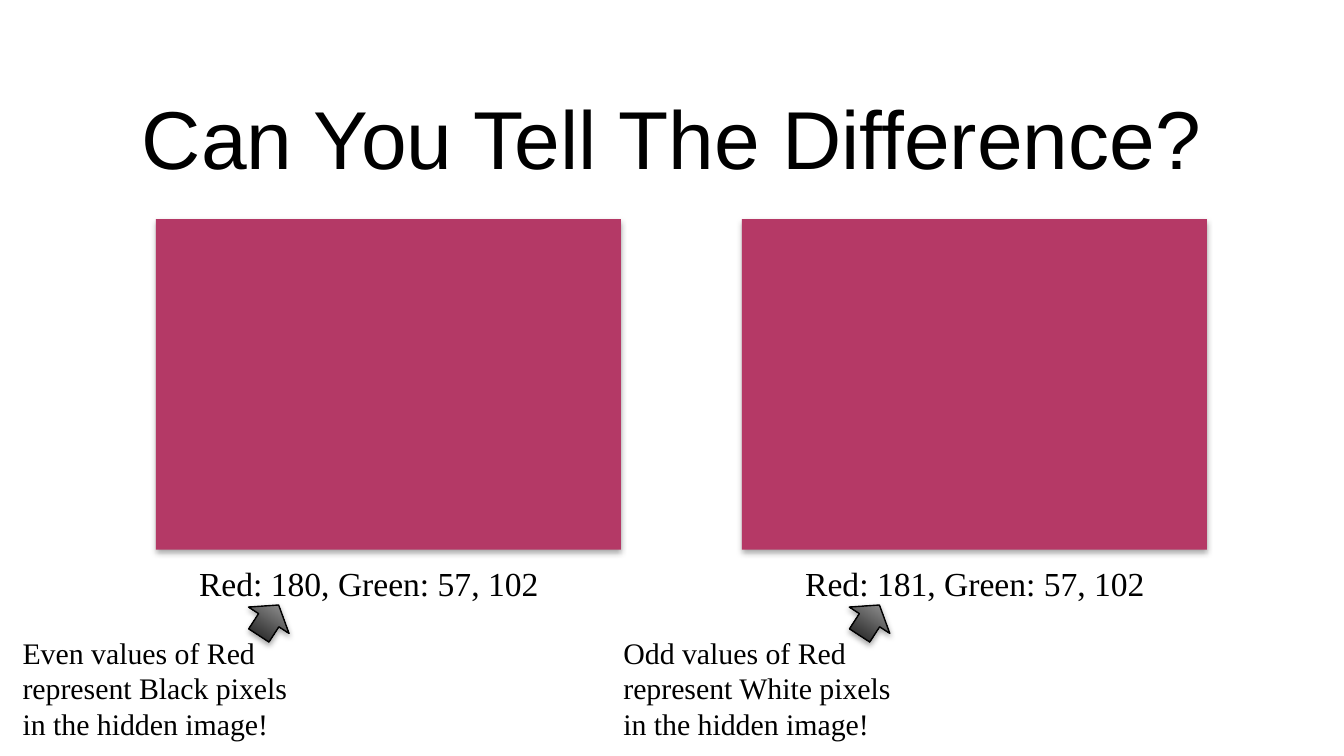
from lxml import etree
from pptx import Presentation
from pptx import util as u
from pptx.dml.color import RGBColor
from pptx.enum import shapes, text
from pptx.oxml import ns

SERIF = "Times New Roman"


def color(value):
    """Turn a hex string into a colour."""
    return RGBColor.from_string(value)


def place(shape, box):
    """Move and size a shape to a box in inches."""
    shape.left, shape.top, shape.width, shape.height = map(u.Inches, box)


def write(shape, words, font=SERIF, size=18, fill="000000",
          align=text.PP_ALIGN.LEFT, anchor=text.MSO_ANCHOR.TOP):
    """Put formatted text in a shape."""
    frame = shape.text_frame
    frame.word_wrap = True
    frame.vertical_anchor = anchor
    paragraph = frame.paragraphs[0]
    paragraph.alignment = align
    run = paragraph.add_run()
    run.text = words
    run.font.name = font
    run.font.size = u.Pt(size)
    run.font.color.rgb = color(fill)


def add_text(slide, box, words, **style):
    """Add a text box that fits its text."""
    shape = slide.shapes.add_textbox(*map(u.Inches, box))
    write(shape, words, **style)
    shape.text_frame.auto_size = text.MSO_AUTO_SIZE.SHAPE_TO_FIT_TEXT


def add_shadowed(slide, kind, box):
    """Add a preset shape with a soft shadow below it."""
    shape = slide.shapes.add_shape(kind, *map(u.Inches, box))
    shape.shadow.inherit = False
    effects = shape._element.spPr.find(ns.qn("a:effectLst"))
    shadow = etree.SubElement(
        effects, ns.qn("a:outerShdw"), blurRad=str(u.Pt(3.1)),
        dist=str(u.Pt(1.8)), dir="5400000", rotWithShape="0")
    black = etree.SubElement(shadow, ns.qn("a:srgbClr"), val="000000")
    etree.SubElement(black, ns.qn("a:alpha"), val="35000")
    return shape


def add_title(slide, box, words):
    """Fill the title placeholder."""
    title = slide.shapes.title
    place(title, box)
    write(title, words, font="Arial", size=44,
          align=text.PP_ALIGN.CENTER, anchor=text.MSO_ANCHOR.MIDDLE)


def add_swatch(slide, box, fill):
    """Add a plain colour panel."""
    swatch = add_shadowed(slide, shapes.MSO_SHAPE.RECTANGLE, box)
    swatch.fill.solid()
    swatch.fill.fore_color.rgb = color(fill)
    swatch.line.fill.background()


def add_note(slide, box, words):
    """Add a note with an arrow pointing up to the caption."""
    left, top, width, height = box
    arrow = add_shadowed(slide, shapes.MSO_SHAPE.UP_ARROW,
                         (left + 1.75, top - 0.19, 0.36, 0.27))
    arrow.rotation = 33
    arrow.fill.gradient()
    arrow.fill.gradient_angle = 90
    for stop, position, shade in zip(arrow.fill.gradient_stops, (0, 1),
                                     ("000000", "BDBDBD")):
        stop.position = position
        stop.color.rgb = color(shade)
    arrow.line.color.rgb = color("000000")
    arrow.line.width = u.Pt(0.75)
    add_text(slide, box, words, size=16)


def build():
    """Build and save the slide."""
    presentation = Presentation()
    presentation.slide_width = u.Inches(10)
    presentation.slide_height = u.Inches(10 * 9 / 16)
    slide = presentation.slides.add_slide(presentation.slide_layouts[5])
    add_title(slide, (0.5, 0.55, 9, 0.94), "Can You Tell The Difference?")
    samples = [
        (1.16, 1.25, 0.07, "B43966", 180, "Even", "Black"),
        (5.52, 5.76, 4.54, "B53966", 181, "Odd", "White"),
    ]
    for swatch_left, caption_left, note_left, fill, red, parity, pixel in samples:
        add_swatch(slide, (swatch_left, 1.63, 3.46, 2.46), fill)
        add_text(slide, (caption_left, 4.14, 2.99, 0.4),
                 f"Red: {red}, Green: 57, 102", align=text.PP_ALIGN.CENTER)
        add_note(slide, (note_left, 4.67, 2.27, 0.91),
                 f"{parity} values of Red represent {pixel} pixels "
                 "in the hidden image!")
    presentation.save("out.pptx")


build()
